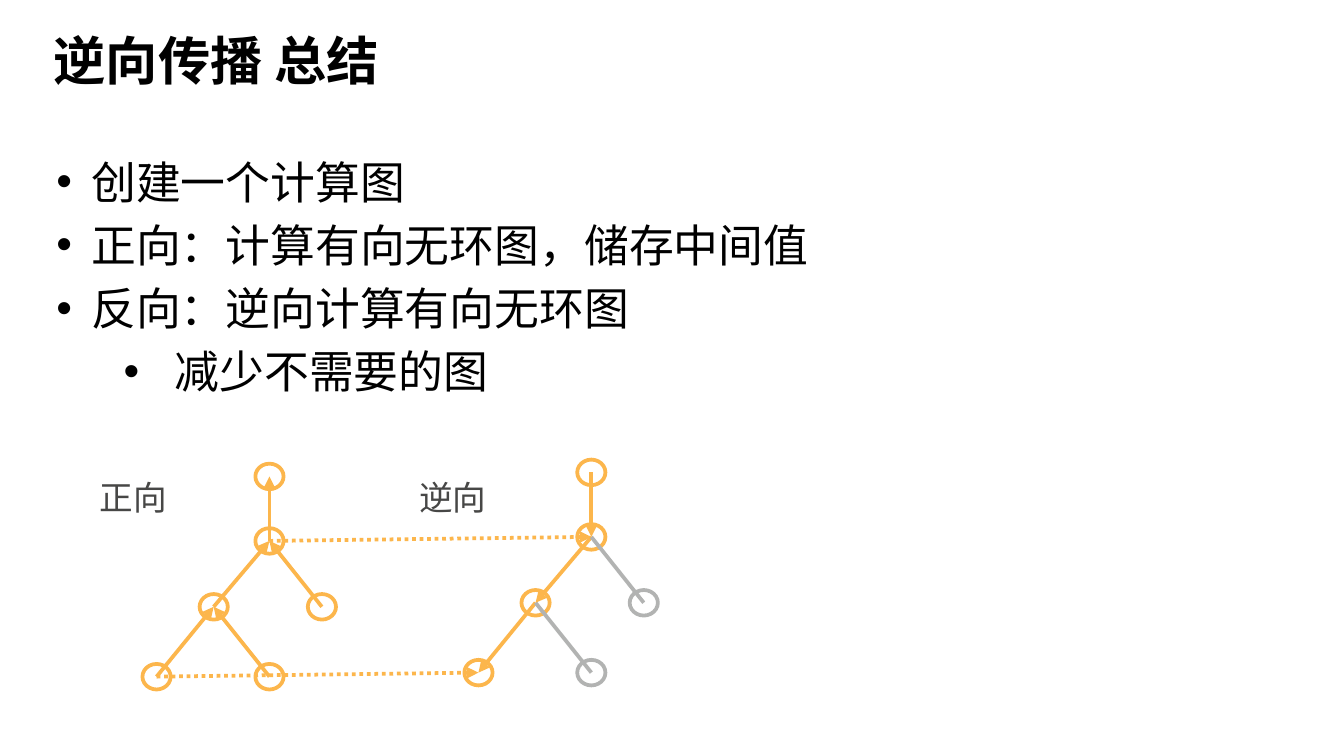
from dataclasses import dataclass

from lxml import etree
from pptx import Presentation
from pptx.dml.color import RGBColor
from pptx.enum.dml import MSO_LINE
from pptx.enum.shapes import MSO_CONNECTOR, MSO_SHAPE
from pptx.enum.text import MSO_ANCHOR, MSO_AUTO_SIZE, PP_ALIGN
from pptx.oxml.ns import qn
from pptx.util import Emu, Pt

BLACK = RGBColor(0x00, 0x00, 0x00)
WHITE = RGBColor(0xFF, 0xFF, 0xFF)
ORANGE = RGBColor(0xFC, 0xB6, 0x4C)
GRAY = RGBColor(0xB2, 0xB3, 0xB2)
LABEL_GRAY = RGBColor(0x47, 0x47, 0x46)
STRAIGHT = MSO_CONNECTOR.STRAIGHT
OVAL = MSO_SHAPE.OVAL
DOTTED = MSO_LINE.ROUND_DOT  # written as sysDot
LEFT = PP_ALIGN.LEFT
TOP, BOTTOM = MSO_ANCHOR.TOP, MSO_ANCHOR.BOTTOM
NO_AUTOFIT, GROW = MSO_AUTO_SIZE.NONE, MSO_AUTO_SIZE.SHAPE_TO_FIT_TEXT

FONT = "Arial"
EMU_PER_PX = 4572  # 200 px to the inch
SLIDE_WIDTH, SLIDE_HEIGHT = 2000, 1125
INSET = 10
NODE_WIDTH, NODE_HEIGHT = 42, 38
BACKWARD_SHIFT = (479, -6)

# Node centres of the forward graph
NODES = {
    "input": (233, 1007),
    "weight": (401, 1007),
    "hidden": (318, 903),
    "bias": (479, 903),
    "sum": (401, 805),
    "loss": (401, 709),
}
EDGES = [  # child, parent
    ("input", "hidden"),
    ("weight", "hidden"),
    ("hidden", "sum"),
    ("bias", "sum"),
    ("sum", "loss"),
]
STORED_VALUES = ("input", "sum")


@dataclass
class Graph:
    shift: tuple[int, int]
    backward: bool
    unneeded: tuple[str, ...] = ()

    def center(self, node: str) -> tuple[int, int]:
        x, y = NODES[node]
        return x + self.shift[0], y + self.shift[1]

    def color(self, node: str) -> RGBColor:
        return GRAY if node in self.unneeded else ORANGE


@dataclass
class Bullet:
    text: str
    level: int = 0
    margin: int = 52
    hanging: int = 52


@dataclass
class Label:
    text: str
    left: int
    height: int


BULLETS = [
    Bullet("创建一个计算图"),
    Bullet("正向：计算有向无环图，储存中间值"),
    Bullet("反向：逆向计算有向无环图"),
    Bullet("减少不需要的图", level=1, margin=176, hanging=76),
]
LABELS = [Label("正向", 138, 142), Label("逆向", 614, 80)]


def px(length: int) -> Emu:
    return Emu(length * EMU_PER_PX)


def place(shape, left: int, top: int, width: int, height: int) -> None:
    shape.left, shape.top = px(left), px(top)
    shape.width, shape.height = px(width), px(height)


def set_frame(frame, anchor, wrap: bool = True, fit=NO_AUTOFIT) -> None:
    frame.margin_left = frame.margin_right = px(INSET)
    frame.margin_top = frame.margin_bottom = px(INSET)
    frame.auto_size = fit
    frame.vertical_anchor = anchor
    frame.word_wrap = wrap


def format_runs(paragraph, size: int, color: RGBColor, bold: bool = False) -> None:
    paragraph.alignment = LEFT
    for run in paragraph.runs:
        run.font.name = FONT
        run.font.size = Pt(size)
        run.font.bold = bold
        run.font.color.rgb = color


def add_title(slide, text: str) -> None:
    title = slide.shapes.title
    place(title, 70, 26, 1794, 120)
    title.text_frame.text = text
    set_frame(title.text_frame, BOTTOM)
    format_runs(title.text_frame.paragraphs[0], 28, BLACK, bold=True)


def add_bullets(slide, bullets: list[Bullet]) -> None:
    body = slide.placeholders[1]
    place(body, 74, 220, 1794, 402)
    frame = body.text_frame
    frame.text = "\n".join(bullet.text for bullet in bullets)
    set_frame(frame, TOP)
    for paragraph, bullet in zip(frame.paragraphs, bullets):
        paragraph.level = bullet.level
        paragraph.space_before = Pt(5)
        format_runs(paragraph, 24, BLACK)
        properties = paragraph._p.get_or_add_pPr()
        properties.set("marL", str(px(bullet.margin)))
        properties.set("indent", str(-px(bullet.hanging)))
        etree.SubElement(properties, qn("a:buFont"), typeface=FONT)
        etree.SubElement(properties, qn("a:buChar"), char="•")


def add_label(slide, label: Label) -> None:
    box = slide.shapes.add_textbox(px(label.left), px(700), px(122), px(label.height))
    box.text_frame.text = label.text
    set_frame(box.text_frame, TOP, wrap=False, fit=GROW)
    format_runs(box.text_frame.paragraphs[0], 18, LABEL_GRAY)


def add_node(slide, center: tuple[int, int], color: RGBColor) -> None:
    left, top = center[0] - NODE_WIDTH // 2, center[1] - NODE_HEIGHT // 2
    node = slide.shapes.add_shape(
        OVAL, px(left), px(top), px(NODE_WIDTH), px(NODE_HEIGHT))
    node.shadow.inherit = False
    node.fill.solid()
    node.fill.fore_color.rgb = WHITE
    node.line.color.rgb = color
    node.line.width = Pt(2)


def add_edge(slide, start: tuple[int, int], end: tuple[int, int],
             color: RGBColor, arrow: bool = True, dotted: bool = False) -> None:
    edge = slide.shapes.add_connector(STRAIGHT, *map(px, start + end))
    edge.line.color.rgb = color
    edge.line.width = Pt(2)
    if dotted:
        edge.line.dash_style = DOTTED
    if arrow:
        etree.SubElement(edge.line._get_or_add_ln(), qn("a:tailEnd"), type="triangle")
    etree.SubElement(edge._element.spPr, qn("a:effectLst"))


def add_graph(slide, graph: Graph) -> None:
    for node in NODES:
        add_node(slide, graph.center(node), graph.color(node))
    for child, parent in EDGES:
        start, end = (parent, child) if graph.backward else (child, parent)
        add_edge(slide, graph.center(start), graph.center(end),
                 graph.color(child), arrow=child not in graph.unneeded)


def main() -> None:
    presentation = Presentation()
    presentation.slide_width = px(SLIDE_WIDTH)
    presentation.slide_height = px(SLIDE_HEIGHT)
    slide = presentation.slides.add_slide(presentation.slide_layouts[1])
    add_title(slide, "逆向传播 总结")
    add_bullets(slide, BULLETS)

    forward = Graph((0, 0), backward=False)
    backward = Graph(BACKWARD_SHIFT, backward=True, unneeded=("weight", "bias"))
    for graph in (forward, backward):
        add_graph(slide, graph)
    for node in STORED_VALUES:
        add_edge(slide, forward.center(node), backward.center(node), ORANGE, dotted=True)
    for label in LABELS:
        add_label(slide, label)
    presentation.save("out.pptx")


if __name__ == "__main__":
    main()
